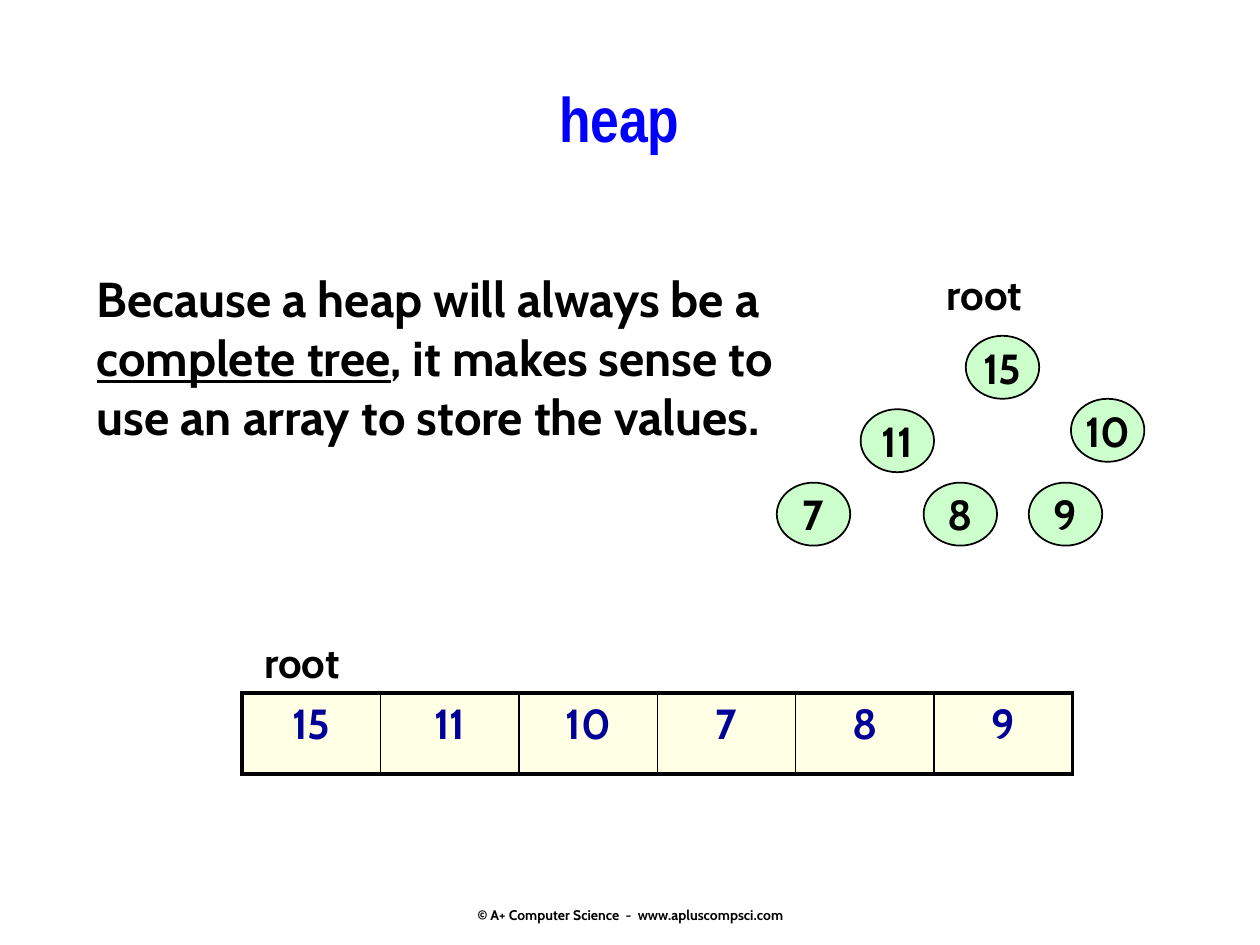
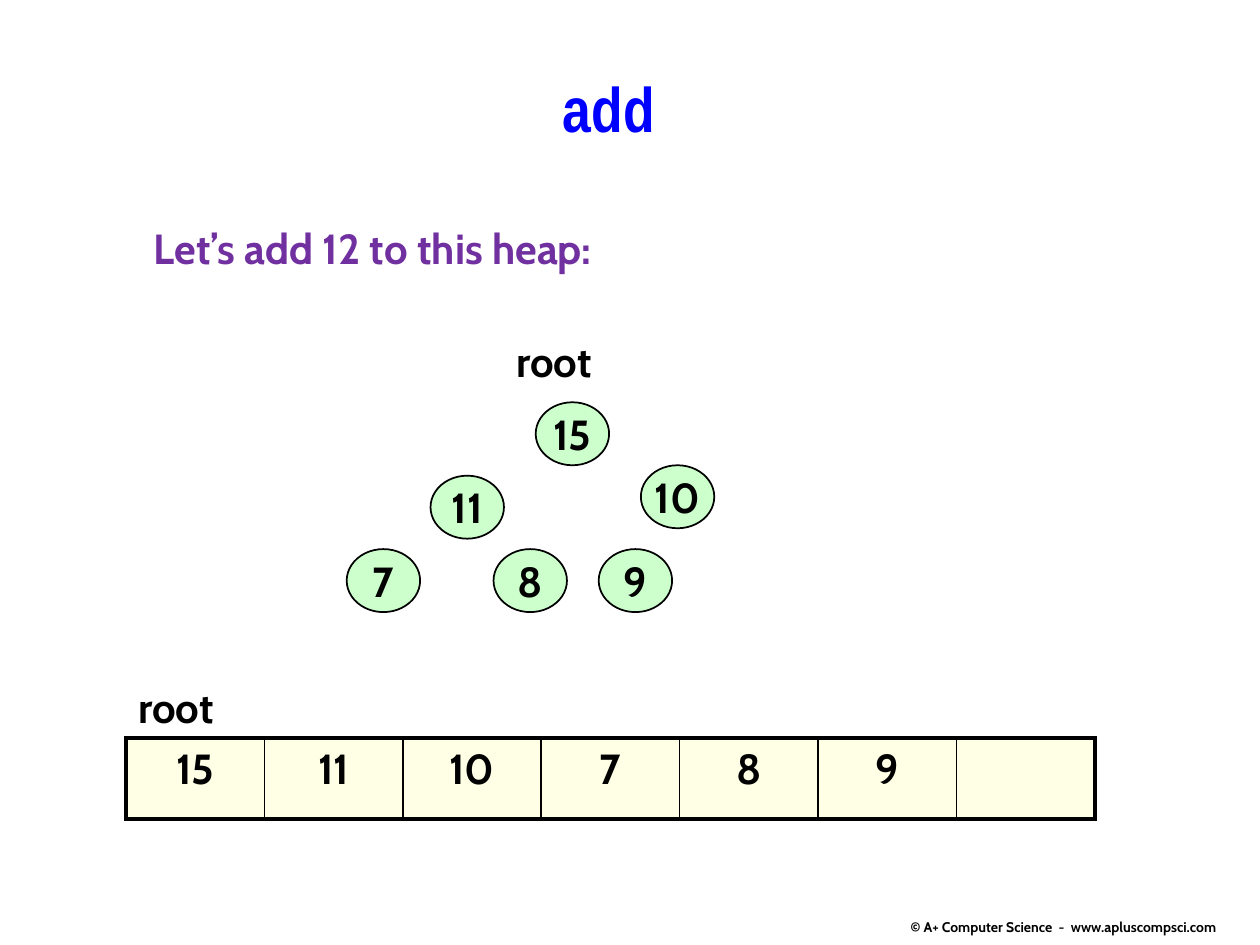
"""Build two slides that show a heap as a tree and as an array."""
from lxml.etree import SubElement
from pptx import Presentation
from pptx.dml.color import RGBColor
from pptx.enum.shapes import MSO_SHAPE
from pptx.enum.text import MSO_ANCHOR, PP_ALIGN
from pptx.oxml import parse_xml
from pptx.oxml.ns import nsdecls, qn
from pptx.util import Cm, Pt

COLORS = {
    "title": "0000FF",
    "text": "000000",
    "task": "7030A0",
    "array value": "000099",
    "node": "CCFFCC",
    "cell": "FFFFCC",
    "line": "000000",
}
TITLE_FONT, TEXT_FONT = "Arial Narrow", "Cabin"
FOOTER = "© A+ Computer Science  -  www.apluscompsci.com"
ROOT_LABEL = "root"

NODE_SIZE = (1.48, 1.27)
NODES = [
    ("15", 0, 0),
    ("11", -2.12, 1.48),
    ("7", -3.81, 2.96),
    ("8", -0.85, 2.96),
    ("10", 2.12, 1.27),
    ("9", 1.27, 2.96),
]
TREE_LABEL_OFFSET = (-0.64, -1.48)
LABEL_SIZE = (3.81, 1.27)
CELL_SIZE = (2.79, 1.63)
OUTER_BORDER, INNER_BORDER = 2.25, 1

SLIDES = [
    {
        "title": "heap",
        "title box": (3.81, 1.47, 17.35, 2.34),
        "body": [
            ("Because a heap will always be a ", False),
            ("complete tree", True),
            (", it makes sense to use an array to store the values.", False),
        ],
        "body box": (1.7, 5.29, 14.4, 5.05),
        "body style": {"size": 28},
        "tree root": (19.47, 6.77),
        "array": ["15", "11", "10", "7", "8", "9"],
        "array corner": (4.88, 13.97),
        "label indent": 0.2,
        "array color": "array value",
        "footer box": (8.69, 17.35, 8.05, 1.27),
    },
    {
        "title": "add",
        "title box": (5.5, 1.27, 13.55, 1.69),
        "body": [("Let’s add 12 to this heap:", False)],
        "body box": (1.48, 4.37, 12.07, 1.27),
        "body style": {"color": "task", "align": PP_ALIGN.CENTER},
        "tree root": (10.8, 8.11),
        "array": ["15", "11", "10", "7", "8", "9", ""],
        "array corner": (2.54, 14.88),
        "label indent": 0,
        "array color": "text",
        "footer box": (17.42, 17.58, 8.05, 1.27),
    },
]


def rgb(name):
    return RGBColor.from_string(COLORS[name])


def write(frame, runs, size=24, color="text", font=TEXT_FONT, align=PP_ALIGN.LEFT):
    paragraph = frame.paragraphs[0]
    paragraph.alignment = align
    for text, underlined in runs:
        run = paragraph.add_run()
        run.text = text
        run.font.name = font
        run.font.size = Pt(size)
        run.font.bold = True
        run.font.underline = underlined
        run.font.color.rgb = rgb(color)


def add_text(shapes, box, runs, wrap=True, **style):
    frame = shapes.add_textbox(*map(Cm, box)).text_frame
    frame.word_wrap = wrap
    write(frame, runs, **style)
    return frame


def add_tree(slide, left, top):
    shapes = slide.shapes.add_group_shape().shapes
    for value, across, down in NODES:
        box = (left + across, top + down, *NODE_SIZE)
        node = shapes.add_shape(MSO_SHAPE.OVAL, *map(Cm, box))
        node.shadow.inherit = False
        node.fill.solid()
        node.fill.fore_color.rgb = rgb("node")
        node.line.color.rgb = rgb("line")
        node.line.width = Pt(1)
        node.text_frame.word_wrap = False
        node.text_frame.vertical_anchor = MSO_ANCHOR.MIDDLE
        write(node.text_frame, [(value, False)], align=PP_ALIGN.CENTER)
    across, down = TREE_LABEL_OFFSET
    add_text(shapes, (left + across, top + down, *LABEL_SIZE), [(ROOT_LABEL, False)])


def style_cell(cell, first, last):
    cell.fill.solid()
    cell.fill.fore_color.rgb = rgb("cell")
    properties = cell._tc.get_or_add_tcPr()
    SubElement(next(properties.iter(qn("a:srgbClr"))), qn("a:alpha"), val="50000")
    widths = {
        "lnL": OUTER_BORDER if first else INNER_BORDER,
        "lnR": OUTER_BORDER if last else INNER_BORDER,
        "lnT": OUTER_BORDER,
        "lnB": OUTER_BORDER,
    }
    for position, (side, width) in enumerate(widths.items()):
        properties.insert(position, parse_xml(
            f'<a:{side} {nsdecls("a")} w="{Pt(width)}"><a:solidFill>'
            f'<a:srgbClr val="{COLORS["line"]}"/></a:solidFill></a:{side}>'))


def add_array(slide, values, left, top, indent, color):
    width, height = CELL_SIZE
    label_box = (left + indent, top - LABEL_SIZE[1], *LABEL_SIZE)
    add_text(slide.shapes, label_box, [(ROOT_LABEL, False)])
    box = (left, top, width * len(values), height)
    table = slide.shapes.add_table(1, len(values), *map(Cm, box)).table
    table.first_row = table.horz_banding = False
    for column, value in enumerate(values):
        cell = table.cell(0, column)
        style_cell(cell, column == 0, column == len(values) - 1)
        if value:
            write(cell.text_frame, [(value, False)], color=color, align=PP_ALIGN.CENTER)


def add_footer(slide, box):
    frame = add_text(slide.shapes, box, [(FOOTER, False)], wrap=False,
                     size=8, align=PP_ALIGN.CENTER)
    frame.vertical_anchor = MSO_ANCHOR.BOTTOM
    frame.margin_bottom = 0


def main():
    presentation = Presentation()
    presentation.slide_width, presentation.slide_height = Cm(25.4), Cm(19.05)
    for content in SLIDES:
        slide = presentation.slides.add_slide(presentation.slide_layouts[6])
        add_text(slide.shapes, content["title box"], [(content["title"], False)], wrap=False,
                 size=36, color="title", font=TITLE_FONT, align=PP_ALIGN.CENTER)
        add_text(slide.shapes, content["body box"], content["body"], **content["body style"])
        add_tree(slide, *content["tree root"])
        add_array(slide, content["array"], *content["array corner"],
                  content["label indent"], content["array color"])
        add_footer(slide, content["footer box"])
    presentation.save("out.pptx")


if __name__ == "__main__":
    main()
